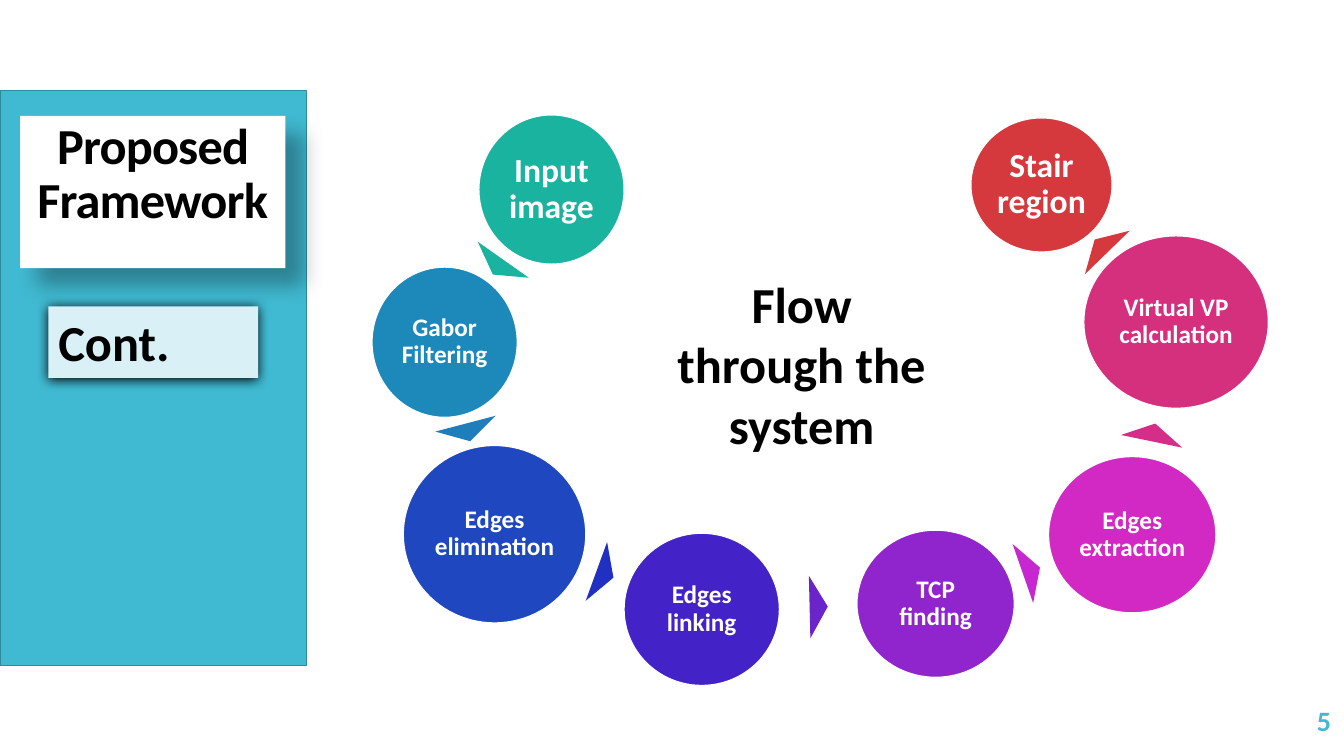
from lxml import etree
from pptx import Presentation
from pptx.dml.color import RGBColor
from pptx.enum.shapes import MSO_SHAPE
from pptx.enum.text import MSO_ANCHOR, PP_ALIGN
from pptx.oxml.ns import qn
from pptx.util import Inches, Pt

RECTANGLE, OVAL, TRIANGLE = MSO_SHAPE.RECTANGLE, MSO_SHAPE.OVAL, MSO_SHAPE.ISOSCELES_TRIANGLE
LEFT, CENTER, RIGHT = PP_ALIGN.LEFT, PP_ALIGN.CENTER, PP_ALIGN.RIGHT
TOP, MIDDLE = MSO_ANCHOR.TOP, MSO_ANCHOR.MIDDLE

THEME = {
    "font": "Calibri", "accent": "40BAD2", "accent_line": "2F8A9B", "pale": "D9F1F6",
    "white": "FFFFFF", "black": "000000",
    "heading": 36, "stage_large": 24, "stage": 18, "number": 20, "line": 0.85,
}

# Content: text, size, circle box (left, top, width, height), colour
STAGES = [
    ("Input image", "stage_large", (4.75, 1.14, 1.44, 1.48), "1AB39F"),
    ("Gabor Filtering", "stage", (3.69, 2.65, 1.44, 1.49), "1D89BA"),
    ("Edges elimination", "stage", (4, 4.42, 1.81, 1.76), "1F47C0"),
    ("Edges linking", "stage", (6.19, 5.29, 1.54, 1.51), "4322C7"),
    ("TCP finding", "stage", (8.5, 5.26, 1.56, 1.46), "9125CD"),
    ("Edges extraction", "stage", (10.4, 4.53, 1.66, 1.55), "D329C4"),
    ("Virtual VP calculation", "stage", (10.75, 2.34, 1.83, 1.71), "D5307D"),
    ("Stair region", "stage_large", (9.63, 1.17, 1.4, 1.33), "D5393D"),
]
# Pointers between stages: left, top, rotation, colour
POINTERS = [
    (4.63, 2.56, 215.2, "1AB39F"),
    (4.33, 4.2, 165.3, "1D7EBB"),
    (5.69, 5.61, 110, "2030C2"),
    (7.81, 5.93, 88.6, "6A24CA"),
    (9.92, 5.57, 70.8, "C727D1"),
    (11.13, 4.2, 11.7, "D52E89"),
    (10.61, 2.35, 315.8, "D5393D"),
]
POINTER_SIZE = (0.62, 0.18)


def add_block(slide, kind, box, fill, line=None):
    shape = slide.shapes.add_shape(kind, *map(Inches, box))
    shape.shadow.inherit = False
    shape.fill.solid()
    shape.fill.fore_color.rgb = RGBColor.from_string(fill)
    if line:
        shape.line.color.rgb = RGBColor.from_string(line)
        shape.line.width = Pt(THEME["line"])
    else:
        shape.line.fill.background()
    return shape


def add_shadow(shape, opacity, blur, distance, angle):
    effects = shape._element.spPr.find(qn("a:effectLst"))
    shadow = etree.SubElement(
        effects, qn("a:outerShdw"), blurRad=str(Pt(blur)), dist=str(Pt(distance)),
        dir=str(angle * 60000), algn="ctr", rotWithShape="0")
    color = etree.SubElement(shadow, qn("a:srgbClr"), val=THEME["black"])
    etree.SubElement(color, qn("a:alpha"), val=str(opacity * 1000))


def write(shape, text, *, size, color="black", align=CENTER, anchor=TOP,
          line_spacing=None, letter_spacing=None, inset=None):
    frame = shape.text_frame
    frame.word_wrap = True
    frame.vertical_anchor = anchor
    if inset is not None:
        frame.margin_left = frame.margin_right = Inches(inset)
        frame.margin_top = frame.margin_bottom = Inches(inset)
    paragraph = frame.paragraphs[0]
    paragraph.alignment = align
    if line_spacing:
        paragraph.line_spacing = line_spacing
    run = paragraph.add_run()
    run.text = text
    run.font.name = THEME["font"]
    run.font.size = Pt(THEME[size])
    run.font.bold = True
    run.font.color.rgb = RGBColor.from_string(THEME[color])
    if letter_spacing:
        run.font._element.set("spc", str(round(letter_spacing * 100)))


def add_label(slide, box, text, **text_format):
    write(slide.shapes.add_textbox(*map(Inches, box)), text, **text_format)


def main():
    presentation = Presentation()
    presentation.slide_width, presentation.slide_height = Inches(13.33), Inches(7.5)
    slide = presentation.slides.add_slide(presentation.slide_layouts[6])

    # Side panel with title and subtitle
    add_block(slide, RECTANGLE, (0, 0.9, 3.04, 5.7), THEME["accent"], THEME["accent_line"])
    title = add_block(slide, RECTANGLE, (0.2, 1.15, 2.63, 1.51), THEME["white"])
    add_shadow(title, opacity=30, blur=15, distance=18, angle=45)
    write(title, "Proposed Framework", size="heading", line_spacing=0.9, letter_spacing=-0.6)
    subtitle = add_block(slide, RECTANGLE, (0.48, 3.04, 2.08, 0.71), THEME["pale"])
    add_shadow(subtitle, opacity=100, blur=8.5, distance=1, angle=90)
    write(subtitle, "Cont.", size="heading", align=LEFT)

    # Ring of stages
    for text, size, box, color in STAGES:
        circle = add_block(slide, OVAL, box, color, THEME["white"])
        write(circle, text, size=size, color="white", anchor=MIDDLE,
              line_spacing=0.9, inset=0.03)
    for left, top, rotation, color in POINTERS:
        pointer = add_block(slide, TRIANGLE, (left, top, *POINTER_SIZE), color)
        pointer.rotation = rotation

    # Centre caption and slide number
    add_label(slide, (6.54, 2.66, 2.82, 1.92), "Flow through the system", size="heading")
    add_label(slide, (11.63, 6.95, 1.67, 0.4), "5", size="number", color="accent",
              align=RIGHT, anchor=MIDDLE)

    presentation.save("out.pptx")


if __name__ == "__main__":
    main()
